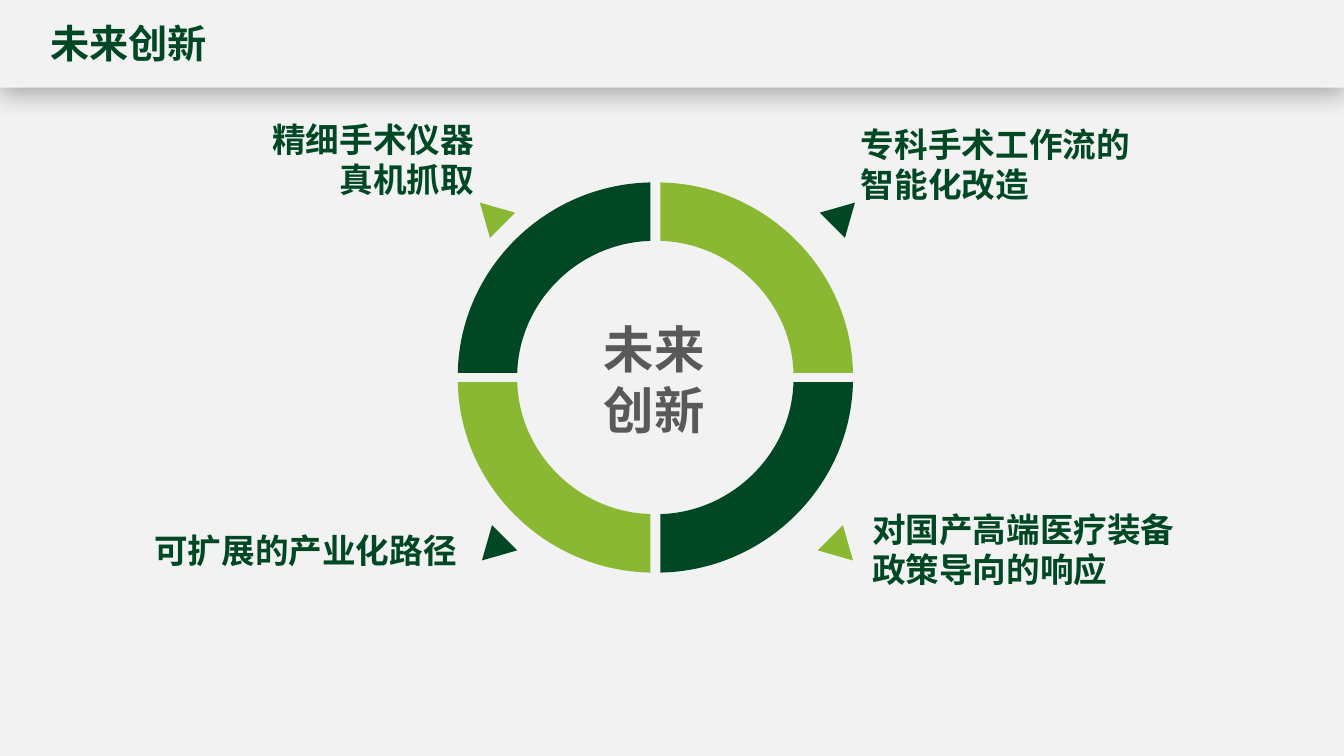
import lxml.etree
import pptx
import pptx.dml.color
import pptx.enum.shapes
import pptx.enum.text
import pptx.oxml
import pptx.oxml.ns
import pptx.util
from pptx.util import Inches

FONT = "Noto Sans CJK SC"
DARK_GREEN = "004723"
LIGHT_GREEN = "8AB833"
GREY = "595959"
PALE = "F2F2F2"

ALIGN = pptx.enum.text.PP_ALIGN
# Offsets from the corner of a ring quarter that is nearest the center.
OUTER_ARC = [(1.91, 0), (1.89, 1.03), (1.04, 1.87), (0, 1.89)]
INNER_ARC = [(0, 1.31), (0.71, 1.29), (1.3, 0.71), (1.32, 0)]
POINTER = [(0, 0), (0.1, 0.35), (0.35, 0.1)]


def color(value):
    return pptx.dml.color.RGBColor.from_string(value)


def tag(name):
    return pptx.oxml.ns.qn(f"a:{name}")


def paint(shape, fill):
    shape.shadow.inherit = False
    shape.fill.solid()
    shape.fill.fore_color.rgb = color(fill)
    shape.line.fill.background()


def add_panel(slide, width, height):
    panel = slide.shapes.add_shape(
        pptx.enum.shapes.MSO_SHAPE.RECTANGLE, 0, 0, width, height)
    paint(panel, PALE)
    return panel


def add_shadow(shape):
    effects = shape._element.spPr.find(tag("effectLst"))
    shadow = lxml.etree.SubElement(
        effects, tag("outerShdw"), blurRad=str(pptx.util.Pt(18)),
        dist=str(pptx.util.Pt(4)), dir="5400000", algn="t", rotWithShape="0")
    tint = lxml.etree.SubElement(shadow, tag("srgbClr"), val="000000")
    lxml.etree.SubElement(tint, tag("alpha"), val="29000")


def add_text(slide, text, place, size, text_color=DARK_GREEN,
             align=ALIGN.LEFT, side=0.08, top=0.04):
    """Add a bold text box; side and top are its insets in inches."""
    box = slide.shapes.add_textbox(*[Inches(length) for length in place])
    frame = box.text_frame
    frame.word_wrap = True
    frame.margin_left = frame.margin_right = Inches(side)
    frame.margin_top = frame.margin_bottom = Inches(top)
    frame.text = text
    for para in frame.paragraphs:
        para.alignment = align
        para.line_spacing = pptx.util.Pt(round(size * 1.2, 1))
        for span in para.runs:
            span.font.size = pptx.util.Pt(size)
            span.font.bold = True
            span.font.name = FONT
            span.font.color.rgb = color(text_color)
            east_asian = pptx.oxml.parse_xml(
                f'<a:ea {pptx.oxml.ns.nsdecls("a")} typeface="{FONT}"/>')
            span.font._element.find(tag("latin")).addnext(east_asian)


def add_outline(slide, points, fill):
    corners = [(Inches(x), Inches(y)) for x, y in points]
    builder = slide.shapes.build_freeform(*corners[0])
    builder.add_line_segments(corners[1:], close=True)
    shape = builder.convert_to_shape()
    paint(shape, fill)
    return shape


def bend(segments):
    """Join three line segments into one cubic curve."""
    curve = lxml.etree.Element(tag("cubicBezTo"))
    segments[0].addprevious(curve)
    for segment in segments:
        curve.append(segment[0])
        segment.getparent().remove(segment)


def add_ring_quarter(slide, corner, side_x, side_y, fill):
    points = [(corner[0] + side_x * x, corner[1] + side_y * y)
              for x, y in OUTER_ARC + INNER_ARC]
    quarter = add_outline(slide, points, fill)
    segments = list(quarter._element.iter(tag("lnTo")))
    bend(segments[:3])
    bend(segments[4:7])


def add_pointer(slide, tip, side_x, side_y, fill):
    """Add a triangle whose tip points away from the ring."""
    points = [(tip[0] - side_x * x, tip[1] - side_y * y) for x, y in POINTER]
    add_outline(slide, points, fill)


def main():
    deck = pptx.Presentation()
    deck.slide_width = Inches(13.33)
    deck.slide_height = Inches(7.5)
    slide = deck.slides.add_slide(deck.slide_layouts[6])

    add_panel(slide, deck.slide_width, deck.slide_height)
    add_shadow(add_panel(slide, deck.slide_width, Inches(0.87)))

    labels = [
        ("专科手术工作流的\n智能化改造", (8.46, 1.19, 4.54, 1.29), ALIGN.LEFT),
        ("对国产高端医疗装备政策导向的响应", (8.57, 5.01, 3.34, 0.89), ALIGN.LEFT),
        ("可扩展的产业化路径", (0.63, 5.22, 3.98, 0.48), ALIGN.RIGHT),
        ("精细手术仪器\n真机抓取", (0.74, 1.14, 4.04, 0.67), ALIGN.RIGHT),
    ]
    for text, place, align in labels:
        add_text(slide, text, place, 24, align=align)

    quarters = [
        (1, -1, (6.55, 3.7), (8.48, 2.01), LIGHT_GREEN, DARK_GREEN),
        (-1, -1, (6.45, 3.7), (4.76, 2.01), DARK_GREEN, LIGHT_GREEN),
        (-1, 1, (6.45, 3.79), (4.78, 5.56), LIGHT_GREEN, DARK_GREEN),
        (1, 1, (6.55, 3.79), (8.46, 5.56), DARK_GREEN, LIGHT_GREEN),
    ]
    for side_x, side_y, corner, tip, ring_fill, pointer_fill in quarters:
        add_pointer(slide, tip, side_x, side_y, pointer_fill)
        add_ring_quarter(slide, corner, side_x, side_y, ring_fill)

    add_text(slide, "未来\n创新", (5.43, 3.12, 2.12, 1.29), 36, GREY,
             ALIGN.CENTER)
    add_text(slide, "未来创新", (0.4, 0.14, 2.41, 0.57), 28,
             side=0.1, top=0.05)

    deck.save("out.pptx")


if __name__ == "__main__":
    main()
